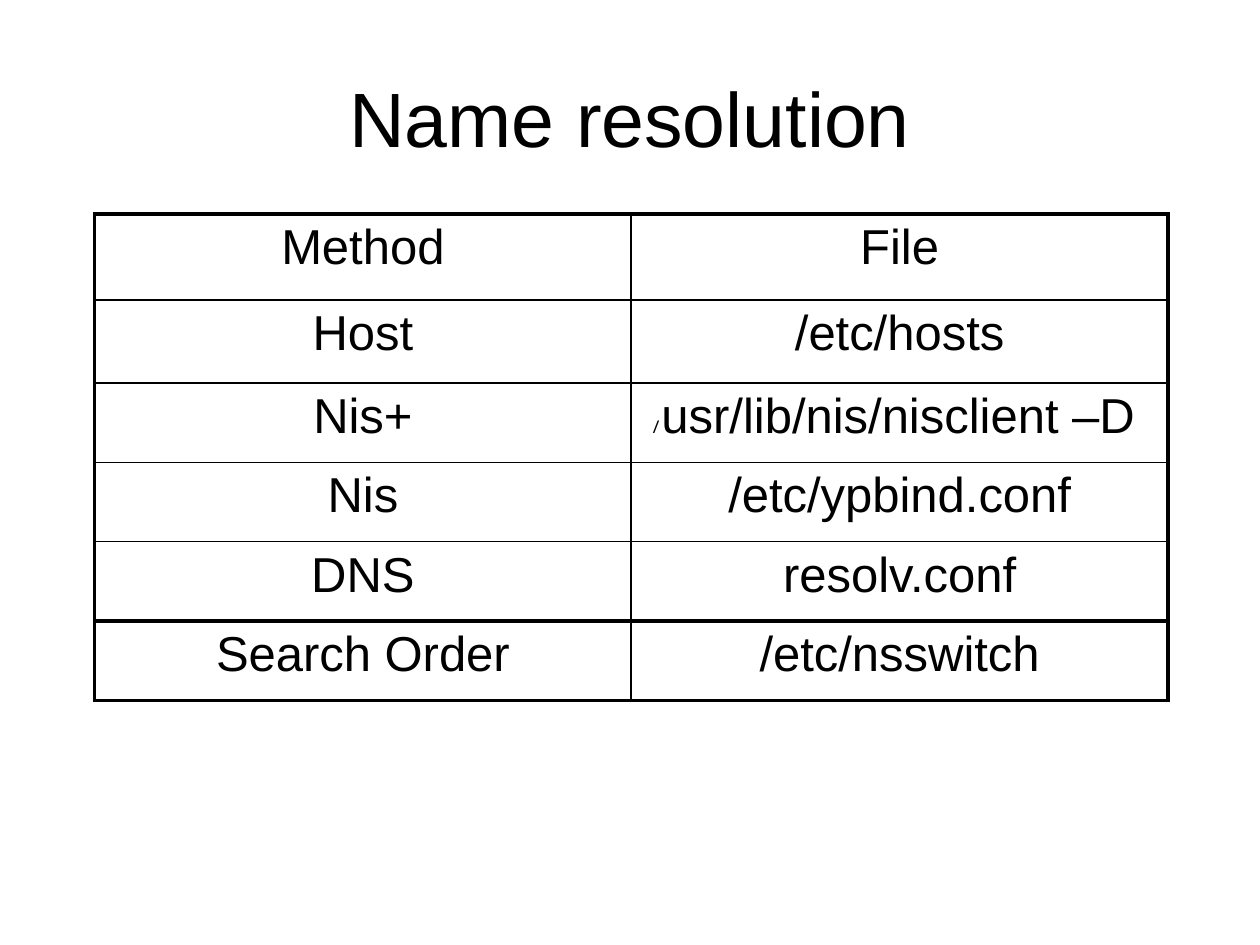
from pptx import Presentation
from pptx import util as u
from pptx.dml.color import RGBColor
from pptx.enum import text
from pptx.oxml import parse_xml
from pptx.oxml.ns import nsdecls

# Content
TITLE = "Name resolution"
ROWS = [
    ("Method", "File"),
    ("Host", "/etc/hosts"),
    ("Nis+", [("/", 10, "Noto Sans Mono"), ("usr/lib/nis/nisclient –D ", 28, "Arial")]),
    ("Nis", "/etc/ypbind.conf"),
    ("DNS", "resolv.conf"),
    ("Search Order", "/etc/nsswitch"),
]
HEIGHTS = [0.68, 0.66, 0.63, 0.63, 0.63, 0.63]
WIDTH = 4.26
COLORS = {"ink": "000000"}
THICK, THIN = 2.25, 1


def write(frame, words, size=28, font="Arial", color="ink", before=None):
    """Fill a frame with one centred line; words is a string or a list of runs."""
    line = frame.paragraphs[0]
    line.alignment = text.PP_ALIGN.CENTER
    if before:
        line._p.get_or_add_pPr().append(parse_xml(
            f'<a:spcBef {nsdecls("a")}><a:spcPct val="{before * 1000}"/></a:spcBef>'))
    runs = [(words, size, font)] if isinstance(words, str) else words
    for part, pts, face in runs:
        run = line.add_run()
        run.text = part
        run.font.size = u.Pt(pts)
        run.font.name = face
        run.font.color.rgb = RGBColor.from_string(COLORS[color])


def edge(cell, **sides):
    """Draw cell borders, given as side=points in the order L, R, T, B."""
    props = cell._tc.get_or_add_tcPr()
    for spot, (side, pts) in enumerate(sides.items()):
        props.insert(spot, parse_xml(
            f'<a:ln{side} {nsdecls("a")} w="{u.Pt(pts)}"><a:solidFill>'
            f'<a:srgbClr val="{COLORS["ink"]}"/></a:solidFill></a:ln{side}>'))


deck = Presentation()
deck.slide_width, deck.slide_height = u.Inches(10), u.Inches(7.5)
slide = deck.slides.add_slide(deck.slide_layouts[6])

# Title
box = slide.shapes.add_textbox(u.Inches(0.5), u.Inches(0.3), u.Inches(9), u.Inches(1.25))
box.text_frame.word_wrap = True
box.text_frame.vertical_anchor = text.MSO_ANCHOR.MIDDLE
write(box.text_frame, TITLE, size=44)

# Table
cols, last = len(ROWS[0]), len(ROWS) - 1
table = slide.shapes.add_table(
    len(ROWS), cols, u.Inches(0.75), u.Inches(1.7),
    u.Inches(WIDTH * cols), u.Inches(sum(HEIGHTS))).table
table.first_row = table.horz_banding = False
for col in table.columns:
    col.width = u.Inches(WIDTH)

# Cells: thick outer frame and a thick rule above the last row
for r, row in enumerate(ROWS):
    table.rows[r].height = u.Inches(HEIGHTS[r])
    for c, words in enumerate(row):
        cell = table.cell(r, c)
        cell.fill.background()
        write(cell.text_frame, words, before=20)
        edge(cell,
             L=THICK if c == 0 else THIN,
             R=THICK if c == cols - 1 else THIN,
             T=THICK if r in (0, last) else THIN,
             B=THICK if r >= last - 1 else THIN)

deck.save("out.pptx")
